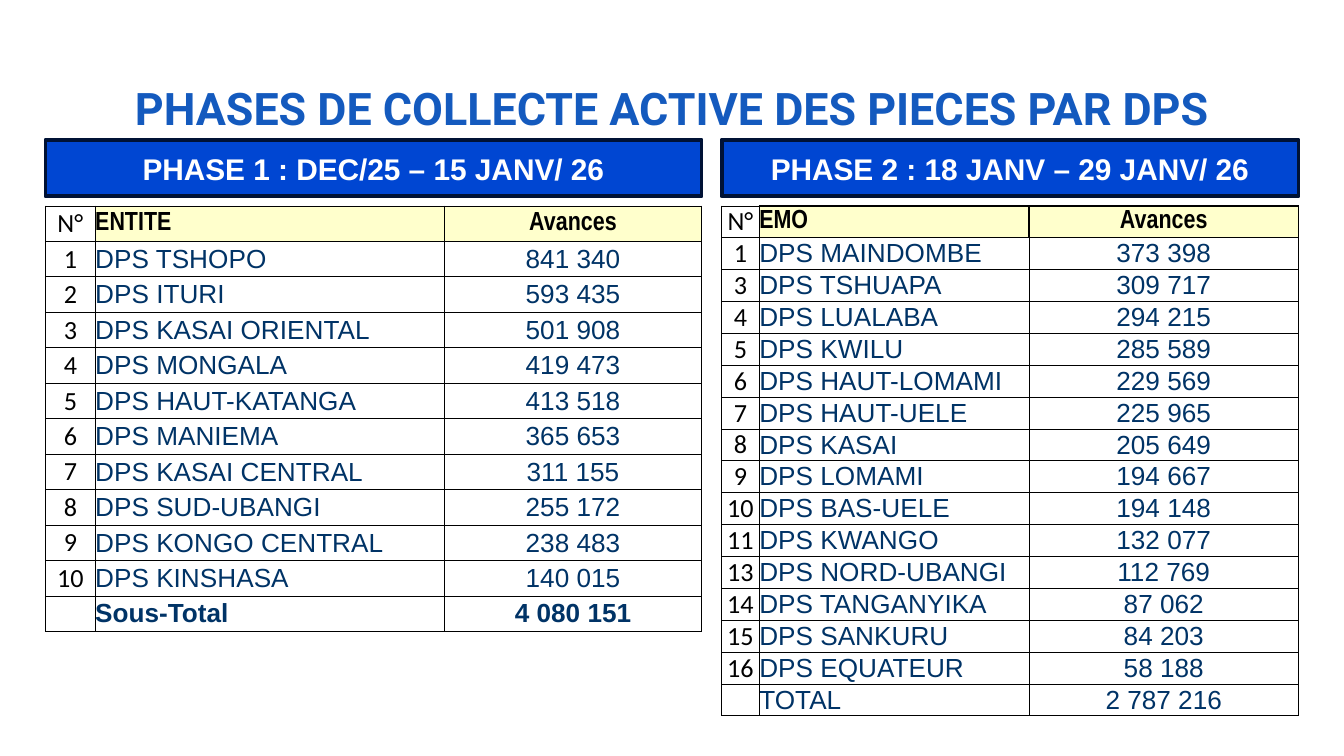
from lxml import etree
from pptx import Presentation
from pptx.dml.color import RGBColor
from pptx.enum.shapes import MSO_SHAPE
from pptx.enum.text import MSO_ANCHOR, PP_ALIGN
from pptx.oxml.ns import qn
from pptx.util import Cm, Pt

RECT = MSO_SHAPE.RECTANGLE
MIDDLE = MSO_ANCHOR.MIDDLE
LEFT, CENTER = PP_ALIGN.LEFT, PP_ALIGN.CENTER

TITLE = "PHASES DE COLLECTE ACTIVE DES PIECES PAR DPS"
PHASES = [
    {
        "name": "PHASE 1 : DEC/25 – 15 JANV/ 26",
        "left": 0.86, "cols": (0.94, 6.6, 4.86), "step": 0.67,
        "edge": 0.5, "strong": True,
        "rows": [
            ("N°", "ENTITE", "Avances"),
            ("1", "DPS TSHOPO", "841 340"),
            ("2", "DPS ITURI", "593 435"),
            ("3", "DPS KASAI ORIENTAL", "501 908"),
            ("4", "DPS MONGALA", "419 473"),
            ("5", "DPS HAUT-KATANGA", "413 518"),
            ("6", "DPS MANIEMA", "365 653"),
            ("7", "DPS KASAI CENTRAL", "311 155"),
            ("8", "DPS SUD-UBANGI", "255 172"),
            ("9", "DPS KONGO CENTRAL", "238 483"),
            ("10", "DPS KINSHASA", "140 015"),
            ("", "Sous-Total", "4 080 151"),
        ],
    },
    {
        "name": "PHASE 2 : 18 JANV – 29 JANV/ 26",
        "left": 13.64, "cols": (0.71, 5.1, 5.09), "step": 0.6,
        "edge": 1, "strong": False,
        "rows": [
            ("N°", "EMO", "Avances"),
            ("1", "DPS MAINDOMBE", "373 398"),
            ("3", "DPS TSHUAPA", "309 717"),
            ("4", "DPS LUALABA", "294 215"),
            ("5", "DPS KWILU", "285 589"),
            ("6", "DPS HAUT-LOMAMI", "229 569"),
            ("7", "DPS HAUT-UELE", "225 965"),
            ("8", "DPS KASAI", "205 649"),
            ("9", "DPS LOMAMI", "194 667"),
            ("10", "DPS BAS-UELE", "194 148"),
            ("11", "DPS KWANGO", "132 077"),
            ("13", "DPS NORD-UBANGI", "112 769"),
            ("14", "DPS TANGANYIKA", "87 062"),
            ("15", "DPS SANKURU", "84 203"),
            ("16", "DPS EQUATEUR", "58 188"),
            ("", "TOTAL", "2 787 216"),
        ],
    },
]


def paint(fill, shade):
    fill.solid()
    fill.fore_color.rgb = RGBColor.from_string(shade)


def write(frame, text, size=14, face="Arial", color="003366", bold=False, align=CENTER):
    para = frame.paragraphs[0]
    para.alignment = align
    if not text:
        etree.SubElement(para._p, qn("a:endParaRPr"), sz=str(size * 100))
        return
    run = para.add_run()
    run.text = text
    font = run.font
    font.size, font.name, font.bold = Pt(size), face, bold
    font.color.rgb = RGBColor.from_string(color)


def border(cell, edge):
    props = cell._tc.get_or_add_tcPr()
    for side, width in (("L", 0.5), ("R", edge), ("T", edge), ("B", 0.5)):
        line = etree.SubElement(props, qn(f"a:ln{side}"), w=str(Pt(width)))
        solid = etree.SubElement(line, qn("a:solidFill"))
        etree.SubElement(solid, qn("a:srgbClr"), val="000000")


def style(row, col, last, strong):
    if col == 0:
        return {"face": "Calibri", "color": "000000"}
    align = LEFT if col == 1 else CENTER
    if row == 0:
        return {"face": "Arial Narrow", "color": "000000", "bold": True, "align": align}
    return {"bold": strong and row == last, "align": align}


def banner(slide, phase):
    bar = slide.shapes.add_shape(
        RECT, Cm(phase["left"]), Cm(2.64), Cm(sum(phase["cols"])), Cm(1.07))
    bar.shadow.inherit = False
    paint(bar.fill, "0046D2")
    paint(bar.line.fill, "001235")
    bar.line.width = Pt(2)
    bar.text_frame.vertical_anchor = MIDDLE
    bar.text_frame.word_wrap = True
    write(bar.text_frame, phase["name"], size=16, color="FFFFFF", bold=True)


def grid(slide, phase):
    rows, cols, step = phase["rows"], phase["cols"], phase["step"]
    table = slide.shapes.add_table(
        len(rows), len(cols), Cm(phase["left"]), Cm(3.89),
        Cm(sum(cols)), Cm(step * len(rows))).table
    table.first_row = table.horz_banding = False
    for col, width in zip(table.columns, cols):
        col.width = Cm(width)
    for r, texts in enumerate(rows):
        table.rows[r].height = Cm(step)
        for c, text in enumerate(texts):
            cell = table.cell(r, c)
            cell.margin_left = cell.margin_right = 0
            cell.margin_top = cell.margin_bottom = 0
            cell.vertical_anchor = MIDDLE
            border(cell, phase["edge"] if r == 0 and c else 0.5)
            if c:
                paint(cell.fill, "FFFFFF" if r else "FFFFCC")
            else:
                cell.fill.background()
            write(cell.text_frame, text, **style(r, c, len(rows) - 1, phase["strong"]))


def main():
    deck = Presentation()
    deck.slide_width, deck.slide_height = Cm(25.4), Cm(14.28)
    slide = deck.slides.add_slide(deck.slide_layouts[5])
    title = slide.shapes.title
    title.left, title.top, title.width, title.height = Cm(0.86), Cm(1.24), Cm(23.67), Cm(1.6)
    title.text_frame.vertical_anchor = MIDDLE
    write(title.text_frame, TITLE, size=24, face="Roboto", color="145ABE", bold=True)
    for phase in PHASES:
        grid(slide, phase)
    for phase in PHASES:
        banner(slide, phase)
    deck.save("out.pptx")


if __name__ == "__main__":
    main()
